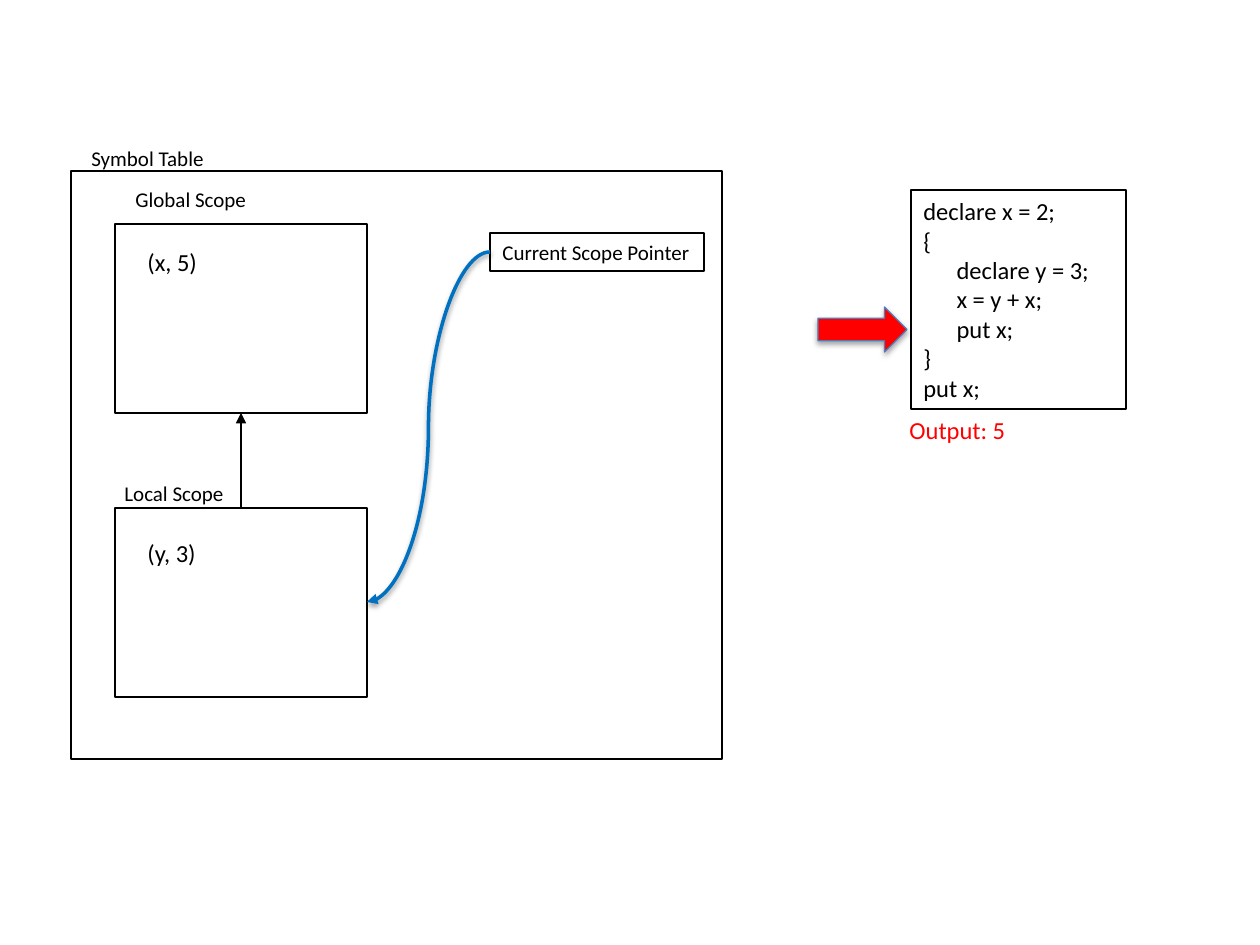
from pptx import Presentation
from pptx.dml.color import RGBColor
from pptx.enum.shapes import MSO_CONNECTOR, MSO_SHAPE
from pptx.enum.text import MSO_ANCHOR, MSO_AUTO_SIZE, PP_ALIGN
from pptx.oxml import parse_xml
from pptx.oxml.ns import nsdecls
from pptx.util import Emu, Pt

BLACK = RGBColor(0x00, 0x00, 0x00)
RED = RGBColor(0xFF, 0x00, 0x00)
BLUE = RGBColor(0x00, 0x70, 0xC0)
STEEL = RGBColor(0x4B, 0x7E, 0xBC)
SCALE = 914400 / 126  # EMU in one px


def px(*vals):
    return [Emu(round(val * SCALE)) for val in vals]


class Board:
    font = "Calibri"
    thin = 0.75

    def __init__(self, slide):
        self.slide = slide

    def edge(self, item, color, width=thin):
        item.line.color.rgb = color
        item.line.width = Pt(width)

    def shade(self, item, dist, alpha):
        """Replace the theme shadow; a zero distance leaves none."""
        xml = f"<a:effectLst {nsdecls('a')}>"
        if dist:
            xml += (f'<a:outerShdw blurRad="40000" dist="{dist}" dir="5400000" '
                    f'rotWithShape="0"><a:srgbClr val="{BLACK}">'
                    f'<a:alpha val="{alpha * 1000}"/></a:srgbClr></a:outerShdw>')
        item._element.spPr.append(parse_xml(xml + "</a:effectLst>"))

    def box(self, x, y, w, h):
        rect = self.slide.shapes.add_shape(MSO_SHAPE.RECTANGLE, *px(x, y, w, h))
        rect.shadow.inherit = False
        rect.fill.background()
        self.edge(rect, BLACK)
        return rect

    def block(self, x, y, w, h):
        arrow = self.slide.shapes.add_shape(MSO_SHAPE.RIGHT_ARROW, *px(x, y, w, h))
        arrow.fill.solid()
        arrow.fill.fore_color.rgb = RED
        self.edge(arrow, STEEL)
        self.shade(arrow, 23000, 35)

    def text(self, x, y, w, h, lines, size=12, color=BLACK, frame=False):
        if frame:
            item = self.box(x, y, w, h)
        else:
            item = self.slide.shapes.add_textbox(*px(x, y, w, h))
        body = item.text_frame
        body.word_wrap = False
        body.auto_size = MSO_AUTO_SIZE.SHAPE_TO_FIT_TEXT
        body.vertical_anchor = MSO_ANCHOR.TOP
        for num, line in enumerate(lines):
            para = body.add_paragraph() if num else body.paragraphs[0]
            para.alignment = PP_ALIGN.LEFT
            run = para.add_run()
            run.text = line
            run.font.name = self.font
            run.font.size = Pt(size)
            run.font.color.rgb = color

    def link(self, kind, ends, color, width=thin, dist=0, alpha=0):
        wire = self.slide.shapes.add_connector(kind, *px(*ends))
        self.edge(wire, color, width)
        wire.line._get_or_add_ln().append(
            parse_xml(f'<a:tailEnd {nsdecls("a")} type="triangle"/>'))
        self.shade(wire, dist, alpha)
        return wire


def main():
    deck = Presentation()
    deck.slide_width, deck.slide_height = px(1260, 945)
    board = Board(deck.slides.add_slide(deck.slide_layouts[6]))

    # Program code and its output
    code = ["declare x = 2;", "{", "      declare y = 3;", "      x = y + x;",
            "      put x;", "}", "put x;"]
    board.text(911, 190, 215, 219, code, 14, frame=True)
    board.text(897, 409, 122, 43, ["Output: 5"], 14, RED)

    # Symbol table
    board.box(71, 171, 651, 588)
    board.text(79, 139, 139, 38, ["Symbol Table"])

    # Scopes: box top, label place and size, entry top
    scopes = [
        (224, (123, 180, 137, 38), "Global Scope", 241, "(x, 5)"),
        (508, (112, 474, 131, 38), "Local Scope", 532, "(y, 3)"),
    ]
    rects = []
    for top, place, name, row, entry in scopes:
        rects.append(board.box(115, top, 252, 189))
        board.text(*place, [name])
        board.text(135, row, 76, 43, [entry], 14)

    # Local scope points to its parent
    outer, inner = rects
    wire = board.link(MSO_CONNECTOR.STRAIGHT, (241, 508, 241, 413), BLACK)
    wire.begin_connect(inner, 0)
    wire.end_connect(outer, 2)

    # Pointer to the current scope
    board.text(490, 233, 214, 38, ["Current Scope Pointer"], frame=True)
    board.link(MSO_CONNECTOR.CURVE, (490, 252, 367, 602), BLUE, 2, 20000, 38)

    # Marker of the current statement
    board.block(818, 307, 89, 45)

    deck.save("out.pptx")


if __name__ == "__main__":
    main()
